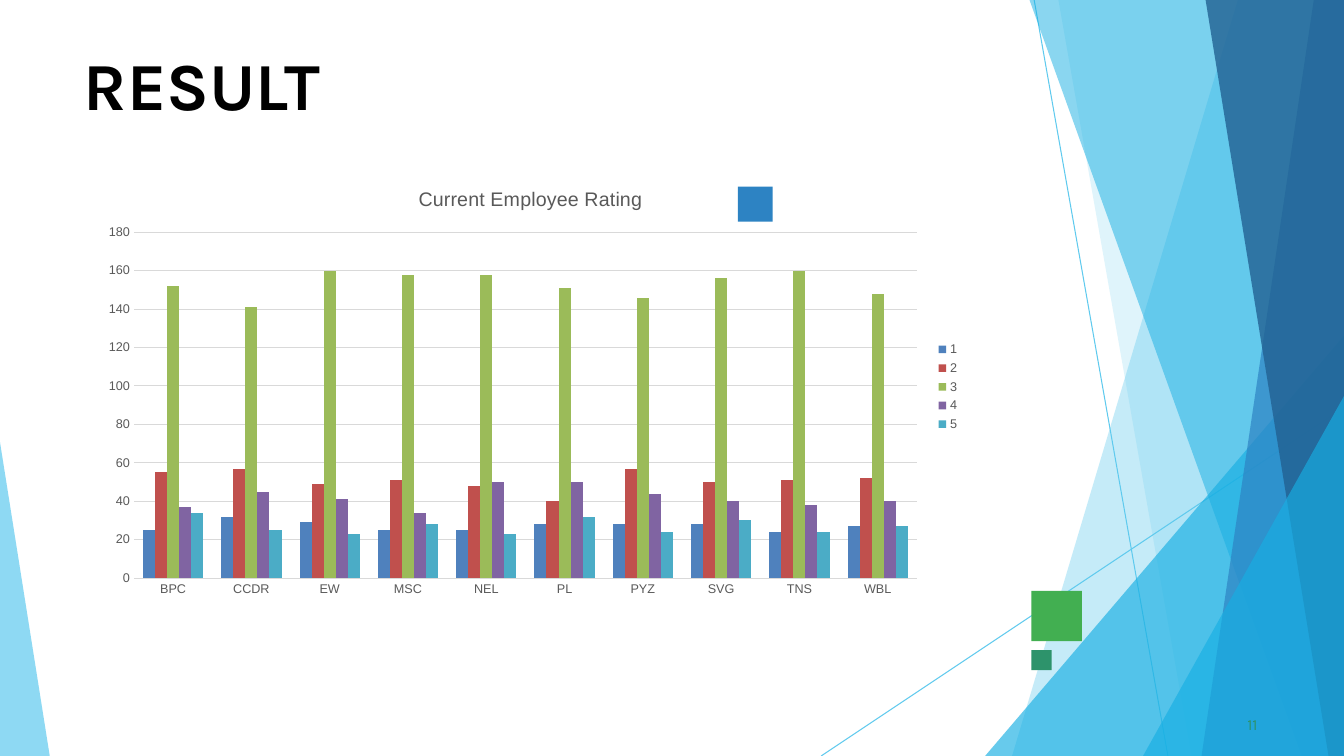
from pptx import Presentation
from pptx.chart.data import CategoryChartData as ChartData
from pptx.dml.color import RGBColor as RGB
from pptx.enum.chart import XL_CHART_TYPE as Kind, XL_LEGEND_POSITION as Side
from pptx.enum.chart import XL_TICK_MARK as Tick
from pptx.enum.shapes import MSO_CONNECTOR as Link, MSO_SHAPE as Form
from pptx.oxml.xmlchemy import OxmlElement as Node
from pptx.util import Inches, Pt

SKY, CYAN, BLUE, NAVY = "5FCAEE", "17AFE3", "2D83C3", "226192"
GREEN, TEAL, BLACK, GRAY, PALE = "42AF51", "2D936B", "000000", "595959", "D9D9D9"

# Facets from back to front: corners as percent of the slide, colour, opacity
FACETS = [
    ([(100, 0), (92.1, 0), (75.3, 100), (100, 100)], SKY, 36),
    ([(100, 0), (78.75, 0), (88.65, 100), (100, 100)], SKY, 20),
    ([(100, 44.4), (73.3, 100), (100, 100)], CYAN, 65),
    ([(100, 0), (76.6, 0), (96.85, 100), (100, 100)], CYAN, 50),
    ([(100, 0), (97.75, 0), (89.4, 100), (100, 100)], BLUE, 70),
    ([(100, 0), (89.7, 0), (98.85, 100), (100, 100)], NAVY, 80),
    ([(100, 52.4), (85.05, 100), (100, 100)], CYAN, 65),
    ([(0, 58.5), (0, 100), (3.7, 100)], SKY, 70),
]
UNITS = ["BPC", "CCDR", "EW", "MSC", "NEL", "PL", "PYZ", "SVG", "TNS", "WBL"]
RATINGS = {
    "1": ("4F81BD", [25, 32, 29, 25, 25, 28, 28, 28, 24, 27]),
    "2": ("C0504D", [55, 57, 49, 51, 48, 40, 57, 50, 51, 52]),
    "3": ("9BBB59", [152, 141, 160, 158, 158, 151, 146, 156, 160, 148]),
    "4": ("8064A2", [37, 45, 41, 34, 50, 50, 44, 40, 38, 40]),
    "5": ("4BACC6", [34, 25, 23, 28, 23, 32, 24, 30, 24, 27]),
}


def tint(part, code):
    part.solid()
    part.fore_color.rgb = RGB.from_string(code)


def put(target, **values):
    for name, value in values.items():
        setattr(target, name, value)


def style(font, size, code, face="Arial", bold=False):
    put(font, size=Pt(size), name=face, bold=bold)
    tint(font.fill, code)


class Page:
    """Draws on one slide; every length is a percent of the slide's size."""

    def __init__(self, deck):
        self.wide, self.high = deck.slide_width, deck.slide_height
        self.shapes = deck.slides.add_slide(deck.slide_layouts[6]).shapes

    def spot(self, x, y):
        return round(self.wide * x / 100), round(self.high * y / 100)

    def line(self, start, end, code):
        line = self.shapes.add_connector(
            Link.STRAIGHT, *self.spot(*start), *self.spot(*end))
        tint(line.line.fill, code)
        line.line.width = Pt(0.75)
        line._element.spPr.append(Node("a:effectLst"))

    def paint(self, shape, code):
        tint(shape.fill, code)
        shape.line.fill.background()
        shape.shadow.inherit = False

    def facet(self, points, code, solid):
        first, *rest = [self.spot(*point) for point in points]
        pen = self.shapes.build_freeform(*first)
        pen.add_line_segments(rest, close=True)
        shape = pen.convert_to_shape()
        self.paint(shape, code)
        alpha = Node("a:alpha")
        alpha.set("val", str(solid * 1000))
        shape._element.spPr.find(".//{*}srgbClr").append(alpha)

    def square(self, x, y, side, code):
        """Side is a percent of the slide's width."""
        edge = self.spot(side, 0)[0]
        shape = self.shapes.add_shape(Form.RECTANGLE, *self.spot(x, y), edge, edge)
        self.paint(shape, code)

    def text(self, x, y, w, h, words, inset=0, **look):
        frame = self.shapes.add_textbox(*self.spot(x, y), *self.spot(w, h)).text_frame
        put(frame, word_wrap=True, margin_left=Inches(inset), margin_right=0,
            margin_top=Inches(0.01), margin_bottom=0)
        run = frame.paragraphs[0].add_run()
        run.text = words
        style(run.font, **look)

    def chart(self, x, y, w, h, title, cats, rows):
        data = ChartData()
        data.categories = cats
        for name, (_, values) in rows.items():
            data.add_series(name, values)
        chart = self.shapes.add_chart(
            Kind.COLUMN_CLUSTERED, *self.spot(x, y), *self.spot(w, h), data).chart
        style(chart.font, 10, BLACK)
        put(chart, has_title=True, has_legend=True)
        head = chart.chart_title.text_frame
        head.text = title
        style(head.paragraphs[0].runs[0].font, 14, GRAY)
        put(chart.legend, position=Side.RIGHT, include_in_layout=False)
        style(chart.legend.font, 9, GRAY)
        for axis in (chart.category_axis, chart.value_axis):
            put(axis, major_tick_mark=Tick.NONE, minor_tick_mark=Tick.NONE)
            style(axis.tick_labels.font, 9, GRAY)
            axis.format.line.fill.background()
        scale = chart.value_axis
        put(scale, minimum_scale=0, maximum_scale=180, major_unit=20,
            has_major_gridlines=True)
        grid = scale.major_gridlines.format.line
        tint(grid.fill, PALE)
        grid.width = Pt(0.75)
        plot = chart.plots[0]
        put(plot, gap_width=150, overlap=0, vary_by_categories=False)
        for series, (code, _) in zip(plot.series, rows.values()):
            tint(series.format.fill, code)


def main():
    deck = Presentation()
    put(deck, slide_width=Inches(13.33), slide_height=Inches(7.5))
    page = Page(deck)
    page.line((76.95, 0), (86.9, 100), SKY)
    page.line((100, 53.9), (61.1, 100), SKY)
    for facet in FACETS:
        page.facet(*facet)
    page.square(76.75, 78.15, 3.75, GREEN)
    page.square(54.9, 24.7, 2.6, BLUE)
    page.square(76.75, 86, 1.5, TEAL)
    page.text(6.25, 5.6, 20, 11.1, "RESULT",
              size=48, code=BLACK, face="Karla", bold=True)
    page.text(92.5, 94.4, 1.9, 2.8, "11", inset=0.04,
              size=11, code=TEAL, face="Karla")
    page.chart(6.8, 22.25, 65.35, 57.85, "Current Employee Rating", UNITS, RATINGS)
    deck.save("out.pptx")


if __name__ == "__main__":
    main()
